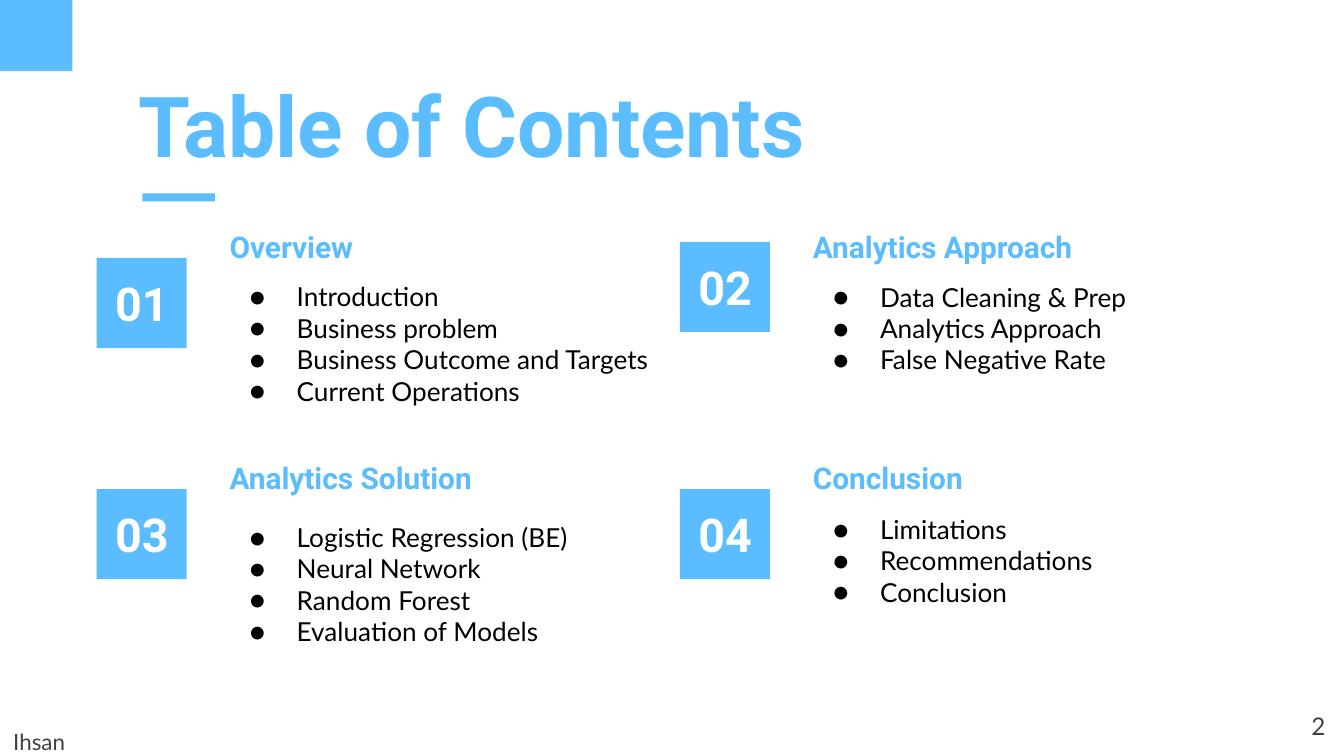
from lxml.etree import SubElement
from pptx import Presentation
from pptx.dml.color import RGBColor
from pptx.enum.shapes import MSO_SHAPE as Shape
from pptx.enum.text import MSO_ANCHOR as Anchor, MSO_AUTO_SIZE as AutoSize, PP_ALIGN as Align
from pptx.oxml.ns import qn
from pptx.util import Inches, Pt

BLUE, WHITE, BLACK, GREY = "5BBDFF", "FFFFFF", "000000", "404040"
WIDTH = 10
HEIGHT = WIDTH * 9 / 16
LEFT, TOP = 0.72, 1.6
COLUMN, ROW = 4.34, 1.72
TILE = 0.67
LABEL_WIDTH, LABEL_HEIGHT = 0.8, 0.38
TEXT_INDENT = 0.89

# number, heading, tile offset and list offset below the row's top, list items
sections = [
    ("01", "Overview", 0.32, 0.39,
     ["Introduction", "Business problem", "Business Outcome and Targets", "Current Operations"]),
    ("02", "Analytics Approach", 0.2, 0.39,
     ["Data Cleaning & Prep", "Analytics Approach", "False Negative Rate"]),
    ("03", "Analytics Solution", 0.32, 0.46,
     ["Logistic Regression (BE)", "Neural Network", "Random Forest", "Evaluation of Models"]),
    ("04", "Conclusion", 0.32, 0.4,
     ["Limitations", "Recommendations", "Conclusion"]),
]

deck = Presentation()
deck.slide_width, deck.slide_height = Inches(WIDTH), Inches(HEIGHT)
page = deck.slides.add_slide(deck.slide_layouts[6])


def rgb(value):
    return RGBColor.from_string(value)


def write(lines, left, top, width, height, size, color, font="Roboto", bold=False,
          align=Align.LEFT, anchor=Anchor.TOP, spacing=1.0, bullets=False):
    """Add a text box with one paragraph for each line."""
    box = page.shapes.add_textbox(Inches(left), Inches(top), Inches(width), Inches(height))
    frame = box.text_frame
    frame.word_wrap, frame.vertical_anchor = True, anchor
    frame.auto_size = AutoSize.SHAPE_TO_FIT_TEXT if bullets else AutoSize.NONE
    frame.margin_left = frame.margin_right = Inches(0.1)
    frame.margin_top = frame.margin_bottom = Inches(0.1)
    for index, line in enumerate(lines):
        para = frame.paragraphs[0] if index == 0 else frame.add_paragraph()
        para.alignment, para.line_spacing = align, spacing
        if bullets:
            props = para._p.get_or_add_pPr()
            props.set("marL", str(Inches(0.5)))
            props.set("indent", str(-Inches(0.35)))
            bullet_color = SubElement(props, qn("a:buClr"))
            SubElement(bullet_color, qn("a:srgbClr"), val=color)
            SubElement(props, qn("a:buFont"), typeface=font)
            SubElement(props, qn("a:buChar"), char="●")
        span = para.add_run()
        span.text = line
        span.font.name, span.font.size, span.font.bold = font, Pt(size), bold
        span.font.color.rgb = rgb(color)


# Blue blocks: corner, title underline and one tile for each section
blocks = [(0, 0, 0.54, 0.53), (1.06, 1.44, 0.54, 0.06)]
for index, section in enumerate(sections):
    row, column = divmod(index, 2)
    blocks.append((LEFT + column * COLUMN, TOP + row * ROW + section[2], TILE, TILE))
for block in blocks:
    shape = page.shapes.add_shape(Shape.RECTANGLE, *map(Inches, block))
    shape.shadow.inherit = False
    shape.fill.solid()
    shape.fill.fore_color.rgb = rgb(BLUE)
    shape.line.fill.background()

write(["Table of Contents"], 0.93, 0.53, 5.88, 0.81, 45, BLUE, bold=True, spacing=0.9)

for index, (number, heading, tile_offset, list_offset, items) in enumerate(sections):
    row, column = divmod(index, 2)
    left, top = LEFT + column * COLUMN, TOP + row * ROW
    write([number], left + (TILE - LABEL_WIDTH) / 2, top + tile_offset + (TILE - LABEL_HEIGHT) / 2,
          LABEL_WIDTH, LABEL_HEIGHT, 25, WHITE, bold=True, align=Align.CENTER, anchor=Anchor.MIDDLE)
    write([heading], left + TEXT_INDENT, top, 2.58, 0.46, 16, BLUE, bold=True)
    write(items, left + TEXT_INDENT, top + list_offset, 3.4, 0.2 + 0.24 * len(items),
          14, BLACK, font="Lato", bullets=True)

write(["Ihsan"], 0, HEIGHT - 0.25, 2.79, 0.25, 12, GREY, font="Lato",
      anchor=Anchor.MIDDLE, spacing=1.15)
write(["2"], 9.36, HEIGHT - 0.43, 0.6, 0.43, 13, GREY, font="Lato", align=Align.RIGHT)

deck.save("out.pptx")
